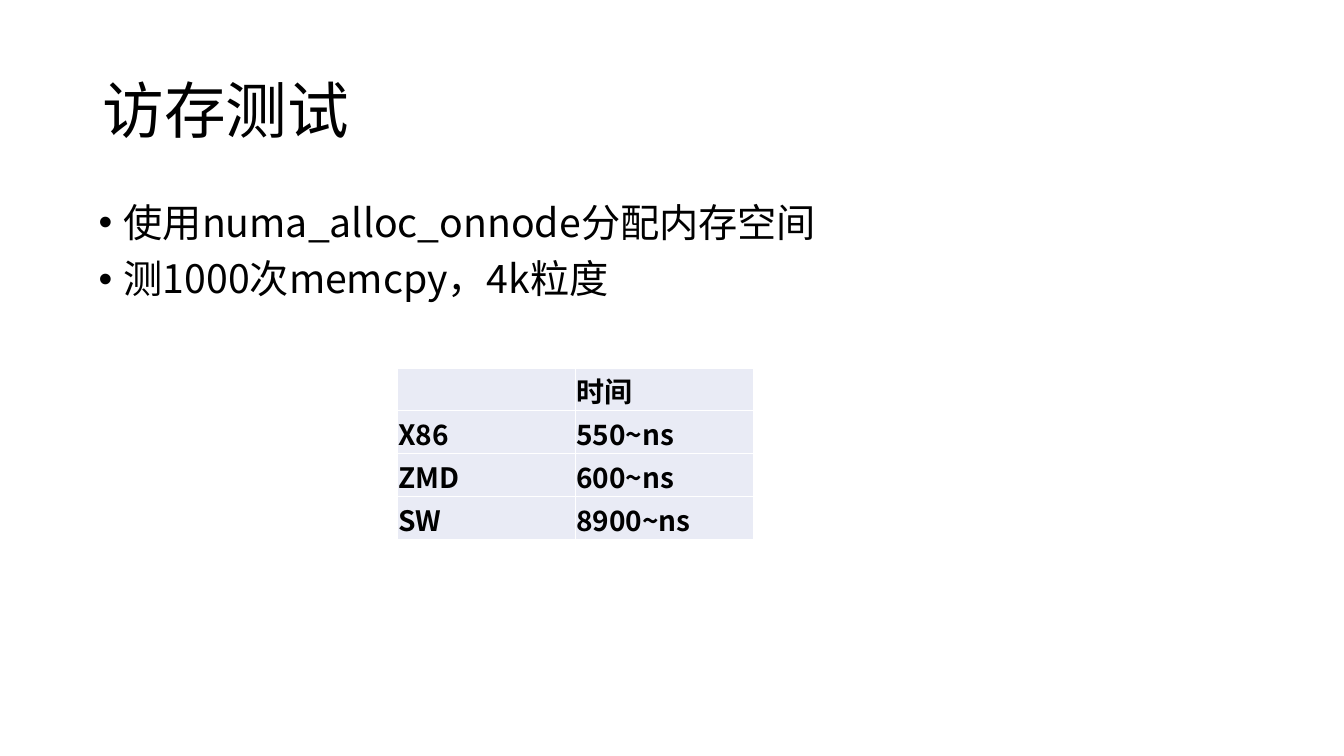
from dataclasses import dataclass

from lxml import etree
from pptx import Presentation, util as u
from pptx.dml.color import RGBColor
from pptx.enum import text
from pptx.oxml import ns


@dataclass(frozen=True)
class Theme:
    font: str = "Noto Sans CJK SC"
    ink: str = "000000"
    cell: str = "E9EBF5"
    border: str = "FFFFFF"
    title_size: int = 44
    body_size: int = 28
    table_size: int = 20


THEME = Theme()
BULLETS = ["使用numa_alloc_onnode分配内存空间", "测1000次memcpy，4k粒度"]
TIMINGS = [("", "时间"), ("X86", "550~ns"), ("ZMD", "600~ns"), ("SW", "8900~ns")]


def style_paragraph(paragraph, size, bold=False):
    font = paragraph.font
    font.name = THEME.font
    font.size = u.Pt(size)
    font.bold = bold
    font.color.rgb = RGBColor.from_string(THEME.ink)
    properties = paragraph._p.get_or_add_pPr().find(ns.qn("a:defRPr"))
    etree.SubElement(properties, ns.qn("a:ea"), typeface=THEME.font)


def add_bullet(paragraph):
    properties = paragraph._p.get_or_add_pPr()
    indent = u.Inches(0.25)
    properties.set("marL", str(indent))
    properties.set("indent", str(-indent))
    bullet_font = etree.Element(ns.qn("a:buFont"), typeface="Arial")
    bullet = etree.Element(ns.qn("a:buChar"), char="•")
    default_run = properties.find(ns.qn("a:defRPr"))
    default_run.addprevious(bullet_font)
    default_run.addprevious(bullet)


def add_text(slide, box, lines, size, anchor, bulleted=False):
    shape = slide.shapes.add_textbox(*map(u.Inches, box))
    frame = shape.text_frame
    frame.word_wrap = True
    frame.vertical_anchor = anchor
    for index, line in enumerate(lines):
        paragraph = frame.add_paragraph() if index else frame.paragraphs[0]
        paragraph.text = line
        paragraph.line_spacing = 0.9
        style_paragraph(paragraph, size)
        if bulleted:
            paragraph.space_before = u.Pt(10)
            add_bullet(paragraph)


def add_borders(cell):
    properties = cell._tc.get_or_add_tcPr()
    for side in ("lnL", "lnR", "lnT", "lnB"):
        line = etree.SubElement(properties, ns.qn(f"a:{side}"), w=str(u.Pt(1)))
        fill = etree.SubElement(line, ns.qn("a:solidFill"))
        etree.SubElement(fill, ns.qn("a:srgbClr"), val=THEME.border)


def fill_cell(cell, value):
    add_borders(cell)
    cell.fill.solid()
    cell.fill.fore_color.rgb = RGBColor.from_string(THEME.cell)
    if value:
        cell.text = value
        cell.vertical_anchor = text.MSO_ANCHOR.BOTTOM
        cell.margin_left = cell.margin_top = cell.margin_right = u.Inches(0.01)
        cell.margin_bottom = 0
        style_paragraph(cell.text_frame.paragraphs[0], THEME.table_size, bold=True)


def add_timing_table(slide, box, rows):
    frame = slide.shapes.add_table(len(rows), len(rows[0]), *map(u.Inches, box))
    table = frame.table
    table.first_row = table.horz_banding = False
    for row_index, row in enumerate(rows):
        for column_index, value in enumerate(row):
            fill_cell(table.cell(row_index, column_index), value)


def main():
    presentation = Presentation()
    presentation.slide_width = u.Inches(13.33)
    presentation.slide_height = u.Inches(7.5)
    slide = presentation.slides.add_slide(presentation.slide_layouts[6])
    add_text(slide, (0.92, 0.4, 11.5, 1.45), ["访存测试"],
             THEME.title_size, text.MSO_ANCHOR.MIDDLE)
    add_text(slide, (0.88, 1.97, 11.5, 4.76), BULLETS,
             THEME.body_size, text.MSO_ANCHOR.TOP, bulleted=True)
    add_timing_table(slide, (3.94, 3.65, 3.53, 1.7), TIMINGS)
    presentation.save("out.pptx")


if __name__ == "__main__":
    main()
